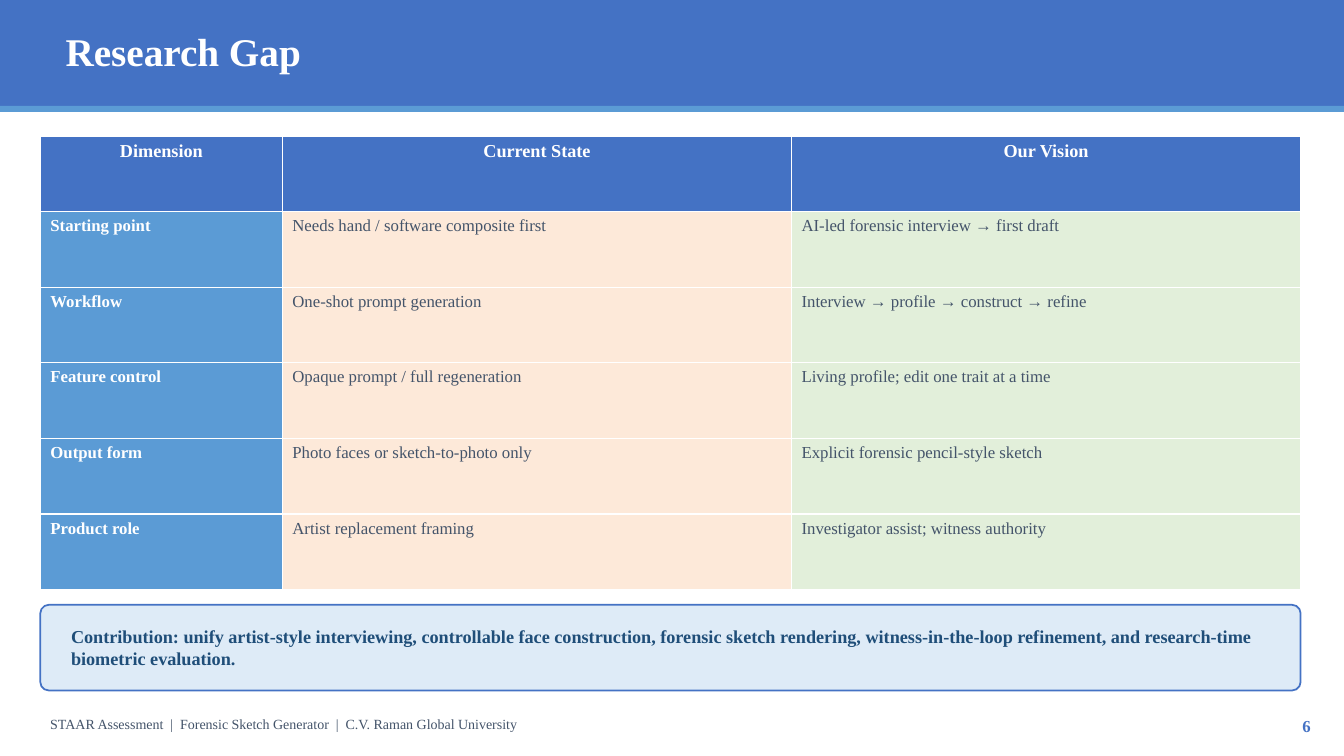
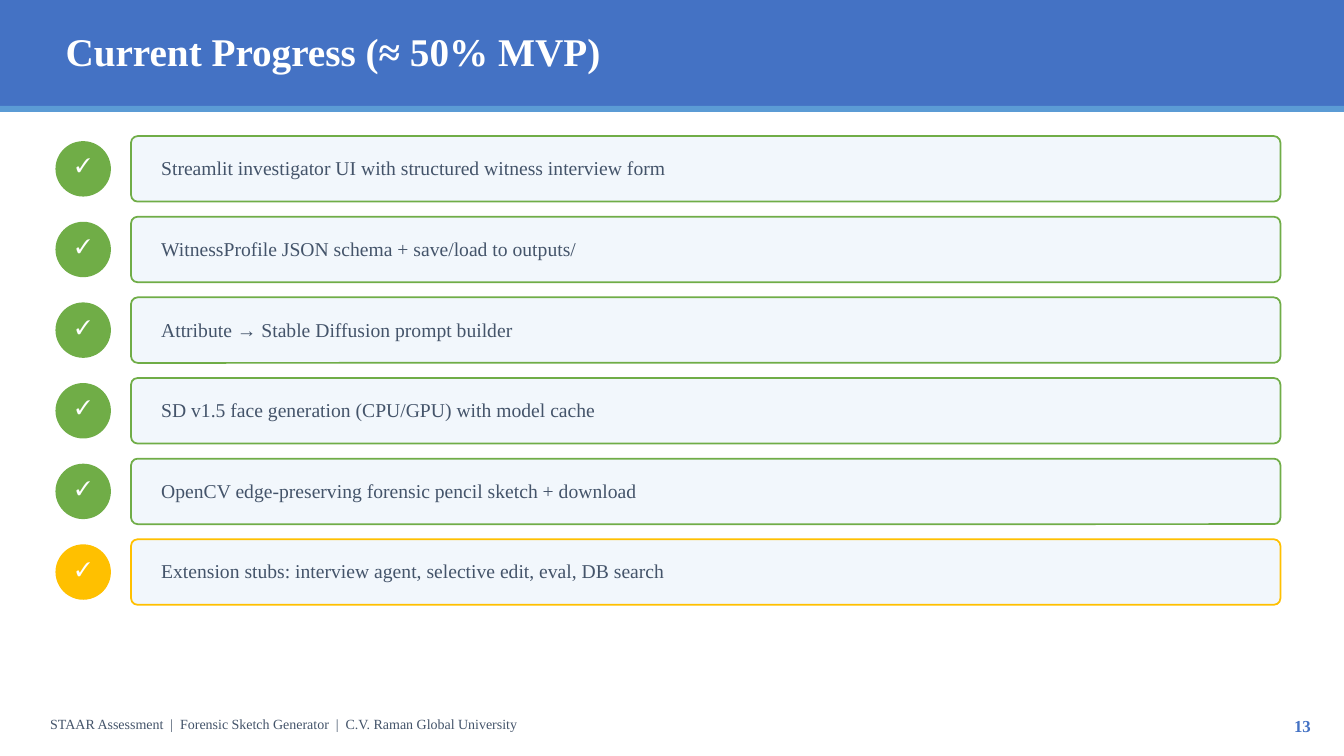
from dataclasses import dataclass
from typing import NamedTuple

from pptx import Presentation
from pptx.dml.color import RGBColor
from pptx.enum.shapes import MSO_SHAPE as Preset
from pptx.enum.text import MSO_ANCHOR as Anchor, MSO_AUTO_SIZE as AutoSize, PP_ALIGN as Align
from pptx.util import Emu, Pt

PX = 9144  # 100 px to the inch


@dataclass(frozen=True)
class Theme:
    font: str = "Times New Roman"
    blue: str = "4472C4"
    sky: str = "5B9BD5"
    navy: str = "1F4E79"
    slate: str = "44546A"
    white: str = "FFFFFF"
    pale_blue: str = "DEEBF7"
    mist: str = "F2F7FC"
    peach: str = "FDE9D9"
    mint: str = "E2EFDA"
    green: str = "70AD47"
    amber: str = "FFC000"
    title_size: int = 28
    item_size: int = 14
    strong_size: int = 13
    small_size: int = 12
    footer_size: int = 10


class Area(NamedTuple):
    left: int
    top: int
    width: int
    height: int


class Inset(NamedTuple):
    left: int = 10
    top: int = 5
    right: int = 10
    bottom: int = 5


class Step(NamedTuple):
    text: str
    color: str


THEME = Theme()
SLIDE = Area(0, 0, 1333, 750)
TITLE = Area(55, 22, 1150, 70)
CARD_INSET = Inset(28, 18, 28, 0)
FOOTER = "STAAR Assessment  |  Forensic Sketch Generator  |  C.V. Raman Global University"

GAP_COLUMNS = (240, 505, 505)
GAP_ROWS = (
    ("Dimension", "Current State", "Our Vision"),
    ("Starting point", "Needs hand / software composite first",
     "AI-led forensic interview → first draft"),
    ("Workflow", "One-shot prompt generation", "Interview → profile → construct → refine"),
    ("Feature control", "Opaque prompt / full regeneration",
     "Living profile; edit one trait at a time"),
    ("Output form", "Photo faces or sketch-to-photo only",
     "Explicit forensic pencil-style sketch"),
    ("Product role", "Artist replacement framing", "Investigator assist; witness authority"),
)
CONTRIBUTION = (
    "Contribution: unify artist-style interviewing, controllable face construction, "
    "forensic sketch rendering, witness-in-the-loop refinement, and research-time "
    "biometric evaluation."
)
STEPS = (
    Step("Streamlit investigator UI with structured witness interview form", THEME.green),
    Step("WitnessProfile JSON schema + save/load to outputs/", THEME.green),
    Step("Attribute → Stable Diffusion prompt builder", THEME.green),
    Step("SD v1.5 face generation (CPU/GPU) with model cache", THEME.green),
    Step("OpenCV edge-preserving forensic pencil sketch + download", THEME.green),
    Step("Extension stubs: interview agent, selective edit, eval, DB search", THEME.amber),
)


def emu(area: Area) -> list[Emu]:
    return [Emu(length * PX) for length in area]


def rgb(color: str) -> RGBColor:
    return RGBColor.from_string(color)


# Text and shapes

def write(frame, text: str, *, size: int, color: str, bold: bool = False,
          align=Align.LEFT, inset: Inset = Inset()) -> None:
    """Put one formatted paragraph into a text frame, anchored at the top."""
    frame.word_wrap = True
    frame.vertical_anchor = Anchor.TOP
    (frame.margin_left, frame.margin_top,
     frame.margin_right, frame.margin_bottom) = [Emu(side * PX) for side in inset]
    para = frame.paragraphs[0]
    para.alignment = align
    span = para.add_run()
    span.text = text
    span.font.name = THEME.font
    span.font.size = Pt(size)
    span.font.bold = bold
    span.font.color.rgb = rgb(color)


def add_panel(page, preset, area: Area, fill: str, line: str | None = None):
    panel = page.shapes.add_shape(preset, *emu(area))
    panel.shadow.inherit = False
    panel.fill.solid()
    panel.fill.fore_color.rgb = rgb(fill)
    if line:
        panel.line.color.rgb = rgb(line)
        panel.line.width = Pt(1.25)
    else:
        panel.line.fill.background()
    if preset == Preset.ROUNDED_RECTANGLE:
        panel.adjustments[0] = 0.1
    return panel


def add_label(page, area: Area, text: str, **style):
    box = page.shapes.add_textbox(*emu(area))
    write(box.text_frame, text, **style)
    return box


# Shared layout

def dress_layout(layout, page) -> None:
    """Place the title and move the bands and footer into the layout."""
    heading = layout.placeholders[0]
    heading.left, heading.top, heading.width, heading.height = emu(TITLE)
    shared = (
        add_panel(page, Preset.RECTANGLE, Area(0, 0, SLIDE.width, 105), THEME.blue),
        add_panel(page, Preset.RECTANGLE, Area(0, 105, SLIDE.width, 6), THEME.sky),
        add_label(page, Area(40, 705, 1000, 35), FOOTER,
                  size=THEME.footer_size, color=THEME.slate),
    )
    for part in shared:
        layout.shapes._spTree.append(part._element)


def start_page(page, title: str, number: int) -> None:
    frame = page.shapes.title.text_frame
    frame.auto_size = AutoSize.NONE
    write(frame, title, size=THEME.title_size, color=THEME.white, bold=True)
    add_label(page, Area(1220, 705, 90, 35), str(number), size=THEME.small_size,
              color=THEME.blue, bold=True, align=Align.RIGHT)


# Research gap

def add_gap_table(page) -> None:
    area = Area(40, 135, sum(GAP_COLUMNS), 450)
    table = page.shapes.add_table(len(GAP_ROWS), len(GAP_COLUMNS), *emu(area)).table
    table.horz_banding = False
    for column, width in zip(table.columns, GAP_COLUMNS):
        column.width = Emu(width * PX)
    body_fills = (THEME.sky, THEME.peach, THEME.mint)
    for row, texts in enumerate(GAP_ROWS):
        for col, text in enumerate(texts):
            header = row == 0
            strong = header or col == 0
            cell = table.cell(row, col)
            cell.fill.solid()
            cell.fill.fore_color.rgb = rgb(THEME.blue if header else body_fills[col])
            write(cell.text_frame, text, bold=strong,
                  size=THEME.strong_size if header else THEME.small_size,
                  color=THEME.white if strong else THEME.slate,
                  align=Align.CENTER if header else Align.LEFT)


def build_gap(page) -> None:
    start_page(page, "Research Gap", 6)
    add_gap_table(page)
    card = add_panel(page, Preset.ROUNDED_RECTANGLE, Area(40, 600, 1250, 85),
                     THEME.pale_blue, THEME.blue)
    write(card.text_frame, CONTRIBUTION, size=THEME.strong_size, color=THEME.navy,
          bold=True, inset=CARD_INSET)


# Current progress

def add_step(page, step: Step, top: int) -> None:
    badge = add_panel(page, Preset.OVAL, Area(55, top + 5, 55, 55), step.color)
    write(badge.text_frame, "✓", size=THEME.item_size, color=THEME.white, bold=True,
          align=Align.CENTER, inset=Inset(0, 4, 0, 0))
    card = add_panel(page, Preset.ROUNDED_RECTANGLE, Area(130, top, 1140, 65),
                     THEME.mist, step.color)
    write(card.text_frame, step.text, size=THEME.item_size, color=THEME.slate,
          inset=CARD_INSET)


def build_progress(page) -> None:
    start_page(page, "Current Progress (≈ 50% MVP)", 13)
    for index, step in enumerate(STEPS):
        add_step(page, step, 135 + 80 * index)


def main() -> None:
    deck = Presentation()
    deck.slide_width, deck.slide_height = emu(SLIDE)[2:]
    layout = deck.slide_layouts[5]
    pages = [deck.slides.add_slide(layout) for _ in range(2)]
    dress_layout(layout, pages[0])
    for build, page in zip((build_gap, build_progress), pages):
        build(page)
    deck.save("out.pptx")


if __name__ == "__main__":
    main()
